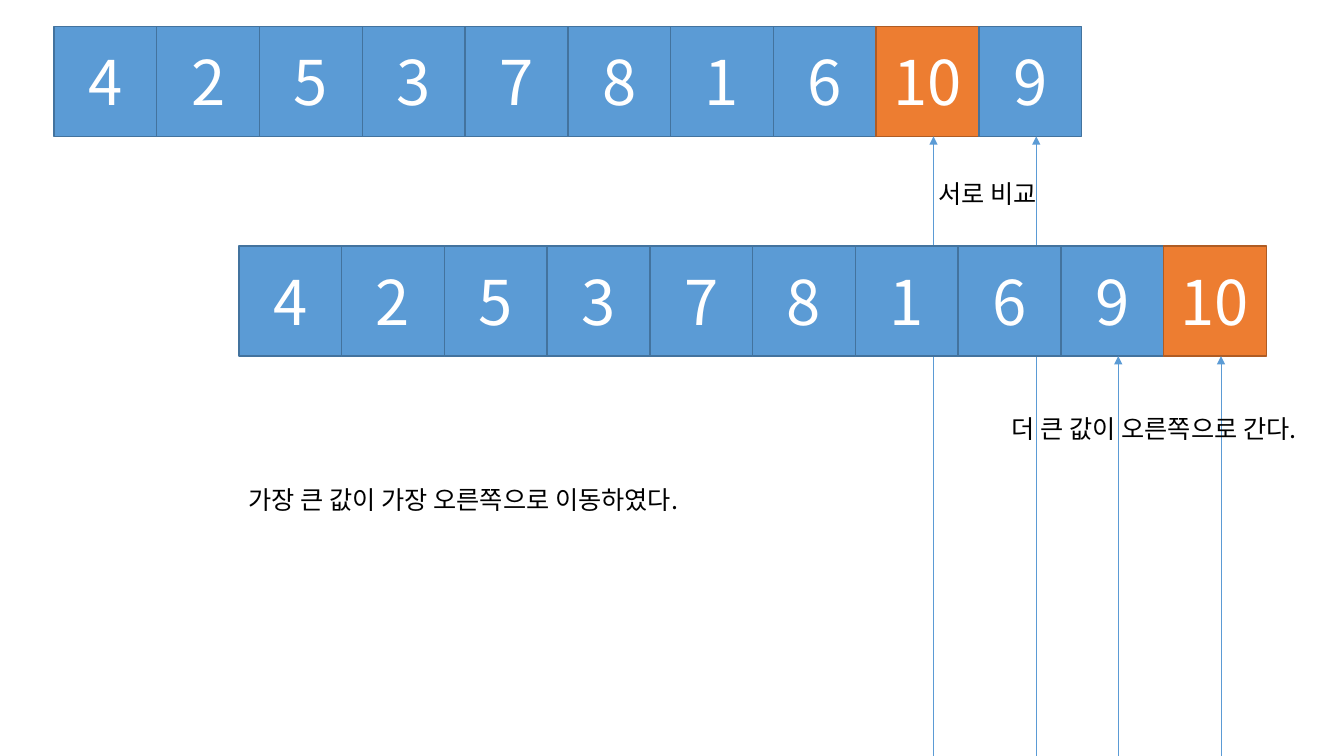
from pptx import Presentation
from pptx.dml.color import RGBColor
from pptx.enum.shapes import MSO_CONNECTOR, MSO_SHAPE
from pptx.enum.text import MSO_ANCHOR, MSO_AUTO_SIZE, PP_ALIGN
from pptx.oxml.ns import qn
from pptx.util import Pt
from lxml.etree import SubElement

FONT = "Noto Sans CJK KR"
SLIDE_WIDTH, SLIDE_HEIGHT = 960, 540
CELL_WIDTH, CELL_HEIGHT = 73.4, 78.6
ARROW_SHIFT = 4.3
COMPARED = (8, 9)


def colour(hex_string):
    return RGBColor.from_string(hex_string)


def add_run(paragraph, words, size, hex_string):
    run = paragraph.add_run()
    run.text = words
    run.font.size = Pt(size)
    run.font.name = FONT
    run.font.color.rgb = colour(hex_string)
    SubElement(run.font._element, qn("a:ea")).set("typeface", FONT)


def add_cell(slide, left, top, number):
    fill, edge = ("ED7D31", "AF5C24") if number == 10 else ("5B9BD5", "43739E")
    cell = slide.shapes.add_shape(
        MSO_SHAPE.RECTANGLE, Pt(left), Pt(top), Pt(CELL_WIDTH), Pt(CELL_HEIGHT))
    cell.shadow.inherit = False
    cell.fill.solid()
    cell.fill.fore_color.rgb = colour(fill)
    cell.line.color.rgb = colour(edge)
    cell.line.width = Pt(1)
    cell.text_frame.vertical_anchor = MSO_ANCHOR.MIDDLE
    paragraph = cell.text_frame.paragraphs[0]
    paragraph.alignment = PP_ALIGN.CENTER
    add_run(paragraph, str(number), 44, "FFFFFF")


def add_arrow(slide, x, tip):
    arrow = slide.shapes.add_connector(
        MSO_CONNECTOR.STRAIGHT, Pt(x), Pt(SLIDE_HEIGHT), Pt(x), Pt(tip))
    arrow.line.color.rgb = colour("5B9BD5")
    arrow.line.width = Pt(0.5)
    SubElement(arrow.line._get_or_add_ln(), qn("a:tailEnd")).set("type", "triangle")
    SubElement(arrow._element.spPr, qn("a:effectLst"))


def add_array(slide, left, top, numbers):
    for index, number in enumerate(numbers):
        add_cell(slide, left + index * CELL_WIDTH, top, number)
    for index in COMPARED:
        middle = left + (index + 0.5) * CELL_WIDTH
        add_arrow(slide, middle + ARROW_SHIFT, top + CELL_HEIGHT)


def add_caption(slide, left, top, width, words):
    caption = slide.shapes.add_textbox(Pt(left), Pt(top), Pt(width), Pt(29))
    caption.text_frame.word_wrap = False
    caption.text_frame.auto_size = MSO_AUTO_SIZE.SHAPE_TO_FIT_TEXT
    add_run(caption.text_frame.paragraphs[0], words, 18, "000000")


def add_sort_step(slide):
    add_array(slide, 38.6, 18.8, (4, 2, 5, 3, 7, 8, 1, 6, 10, 9))
    add_caption(slide, 663, 124, 93.6, "서로 비교")
    add_array(slide, 170.6, 175.8, (4, 2, 5, 3, 7, 8, 1, 6, 9, 10))
    add_caption(slide, 715.7, 291.6, 244, "더 큰 값이 오른쪽으로 간다.")
    add_caption(slide, 170.6, 342.7, 360, "가장 큰 값이 가장 오른쪽으로 이동하였다.")


def main():
    deck = Presentation()
    deck.slide_width, deck.slide_height = Pt(SLIDE_WIDTH), Pt(SLIDE_HEIGHT)
    add_sort_step(deck.slides.add_slide(deck.slide_layouts[6]))
    deck.save("out.pptx")


if __name__ == "__main__":
    main()
